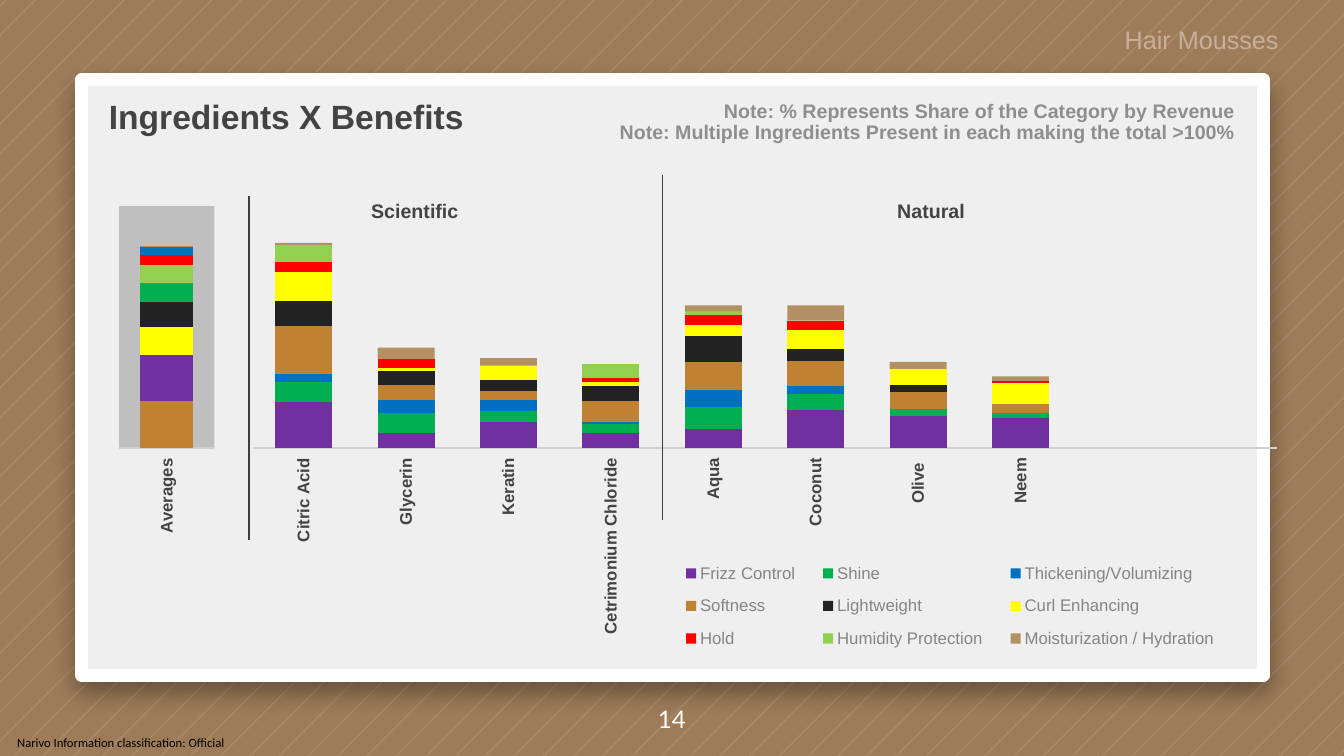
from lxml.etree import SubElement
from pptx import Presentation
from pptx.chart.data import CategoryChartData as ChartData
from pptx.dml.color import RGBColor
from pptx.enum.chart import XL_CHART_TYPE as CHART, XL_LEGEND_POSITION as LEGEND
from pptx.enum.chart import XL_TICK_LABEL_POSITION as LABELS, XL_TICK_MARK as TICK
from pptx.enum.shapes import MSO_CONNECTOR as CONNECTOR, MSO_SHAPE as SHAPE
from pptx.enum.text import MSO_ANCHOR as ANCHOR, MSO_AUTO_SIZE as AUTOSIZE, PP_ALIGN as ALIGN
from pptx.oxml.ns import qn
from pptx.util import Pt

PX = 9144
WIDTH, HEIGHT = 1333, 750
INK, NOTE, GOLD = "434343", "8E8E8E", "BF8232"


def paint(fill, colour):
    fill.solid()
    fill.fore_color.rgb = RGBColor.from_string(colour)


def write(box, words, size, colour, align, face="Arial", bold=True, left=10):
    frame = box.text_frame
    frame.text = words
    for key, value in {"word_wrap": True, "auto_size": AUTOSIZE.NONE,
                       "vertical_anchor": ANCHOR.MIDDLE, "margin_left": left * PX,
                       "margin_right": 10 * PX, "margin_top": 0, "margin_bottom": 0}.items():
        setattr(frame, key, value)
    line = frame.paragraphs[0]
    line.alignment = align
    for key, value in {"size": Pt(size), "name": face, "bold": bold}.items():
        setattr(line.runs[0].font, key, value)
    paint(line.runs[0].font.fill, colour)


deck = Presentation()
deck.slide_width, deck.slide_height = WIDTH * PX, HEIGHT * PX
slide = deck.slides.add_slide(deck.slide_layouts[5])
shapes = slide.shapes
paint(slide.background.fill, "9E7C59")

pen = shapes.build_freeform(5, 0, scale=PX)
for number in range(72):
    near = round(5 + number * 175 / 6)
    far = near + 2
    corners = [(min(near, WIDTH), max(0, near - WIDTH)), (max(0, near - HEIGHT), min(near, HEIGHT)),
               (max(0, far - HEIGHT), min(far, HEIGHT)), (min(far, WIDTH), max(0, far - WIDTH))]
    pen.move_to(*corners[0])
    pen.add_line_segments(corners[1:], close=True)
stripes = pen.convert_to_shape()
stripes.shadow.inherit = False
stripes.line.fill.background()
paint(stripes.fill, "FFFFFF")

panel = shapes.add_shape(SHAPE.RECTANGLE, 81 * PX, 79 * PX, 1184 * PX, 591 * PX)
panel.width = 1172 * PX
panel.shadow.inherit = False
paint(panel.fill, "EFEFEF")
paint(panel.line.fill, "FFFFFF")
panel.line.width = Pt(9)
panel_shadow = SubElement(panel.element.xpath("./p:spPr/a:effectLst")[0], qn("a:outerShdw"),
                          blurRad=str(Pt(16.9)), dist=str(Pt(7.5)), dir="5400000", rotWithShape="0")
shade = SubElement(panel_shadow, qn("a:srgbClr"), val="000000")

heading = shapes.title
heading.left, heading.top, heading.width, heading.height = 98 * PX, 90 * PX, 568 * PX, 50 * PX
write(heading, "Ingredients X Benefits", 24, INK, ALIGN.LEFT)
panel.element.addnext(heading.element)

benefits = [
    ("Frizz Control", "7030A0", [98, 31, 56, 32, 40, 80, 68, 64]),
    ("Shine", "00B050", [42, 43, 23, 18, 46, 35, 15, 9]),
    ("Thickening/Volumizing", "0070C0", [17, 27, 23, 4, 36, 15, 0, 0]),
    ("Softness", GOLD, [100, 31, 19, 45, 60, 54, 36, 21]),
    ("Lightweight", "222222", [53, 30, 23, 32, 55, 25, 15, 0]),
    ("Curl Enhancing", "FFFF00", [61, 7, 30, 9, 23, 41, 33, 43]),
    ("Hold", "FF0000", [21, 19, 0, 8, 20, 19, 0, 5]),
    ("Humidity Protection", "92D050", [37, 0, 0, 29, 9, 0, 0, 0]),
    ("Moisturization / Hydration", "996828", [4, 24, 16, 0, 12, 32, 15, 9]),
]
ingredients = ["Citric Acid", "Glycerin", "Keratin", "Cetrimonium Chloride",
               "Aqua", "Coconut", "Olive ", "Neem", "", ""]
averages = [
    ("Series 1", GOLD, [100]), ("Series 2", "7030A0", [98]), ("Series 3", "FFFF00", [60]),
    ("Series 4", "222222", [53]), ("Series 5", "00B050", [42]), ("Series 6", "92D050", [37]),
    ("Series 7", "FF0000", [21]), ("Series 8", "0070C0", [17]), ("Series 9", "B29063", [3]),
]
charts = []
for names, stack, place, peak, plot_box in [
    (ingredients, benefits, (130, 213, 1137, 465), 454, (0.106, 0.039, 0.894, 0.459)),
    (["Averages"], averages, (103, 199, 125, 342), 516, (0.122, 0.016, 0.756, 0.703)),
]:
    data = ChartData(number_format="General")
    data.categories = names
    for name, colour, values in stack:
        data.add_series(name, values + [None] * (len(names) - len(values)))
    chart = shapes.add_chart(CHART.COLUMN_STACKED, *[n * PX for n in place], data).chart
    charts.append(chart)
    chart.has_title = chart.has_legend = False
    chart.font.name, chart.font.size = "Arial", Pt(10)
    paint(chart.font.fill, INK)
    plot = chart.plots[0]
    plot.gap_width, plot.overlap, plot.vary_by_categories = 80, 100, False
    for series, (name, colour, values) in zip(plot.series, stack):
        paint(series.format.fill, colour)
        series.invert_if_negative = False
    for key, value in {"minimum_scale": 0, "maximum_scale": peak,
                       "has_major_gridlines": False, "visible": False}.items():
        setattr(chart.value_axis, key, value)
    axis = chart.category_axis
    axis.major_tick_mark = axis.minor_tick_mark = TICK.NONE
    axis.tick_label_position = LABELS.LOW
    for key, value in {"size": Pt(12), "bold": True, "name": "Arial"}.items():
        setattr(axis.tick_labels.font, key, value)
    paint(axis.tick_labels.font.fill, INK)
    paint(axis.format.line.fill, "D0D0D0")
    axis.format.line.width = Pt(1.25)
    turned = chart.element.xpath(".//c:catAx/c:txPr/a:bodyPr")[0]
    turned.set("rot", "-5400000")
    turned.set("vert", "horz")

legend_box = (0.465, 0.715, 0.5, 0.24)
mix, average = charts
mix.has_legend = True
mix.legend.position = LEGEND.BOTTOM
mix.legend.include_in_layout = False
mix.legend.font.size, mix.legend.font.name = Pt(12), "Arial"
paint(mix.legend.font.fill, "858585")

for chart, part, box in [(mix, "plotArea", (0.106, 0.039, 0.894, 0.459)),
                         (mix, "legend", legend_box),
                         (average, "plotArea", (0.122, 0.016, 0.756, 0.703))]:
    host = chart.element.xpath(f".//c:{part}")[0]
    for old in host.xpath("./c:layout"):
        host.remove(old)
    layout = SubElement(host, qn("c:layout"))
    host.insert(1 if part == "legend" else 0, layout)
    manual = SubElement(layout, qn("c:manualLayout"))
    if part == "plotArea":
        SubElement(manual, qn("c:layoutTarget"), val="inner")
    for key in ("xMode", "yMode"):
        SubElement(manual, qn(f"c:{key}"), val="edge")
    for key, value in zip("xywh", box):
        SubElement(manual, qn(f"c:{key}"), val=str(value))

backdrop = SubElement(average.element.xpath(".//c:plotArea")[0], qn("c:spPr"))
SubElement(SubElement(backdrop, qn("a:solidFill")), qn("a:srgbClr"), val="BFBFBF")

for colour, opacity in [(stripes.element.xpath("./p:spPr/a:solidFill/a:srgbClr")[0], 10),
                        (shade, 35),
                        (mix.element.xpath(".//c:ser[last()]/c:spPr//a:srgbClr")[0], 70)]:
    SubElement(colour, qn("a:alpha"), val=str(opacity * 1000))

for x, top, bottom in [(247, 194, 536), (657, 174, 516)]:
    divider = shapes.add_connector(CONNECTOR.STRAIGHT, x * PX, top * PX, x * PX, bottom * PX)
    paint(divider.line.fill, "463C35")
    divider.line.width = Pt(0.75)
    SubElement(divider.element.xpath("./p:spPr")[0], qn("a:effectLst"))

for words, place, style in [
    ("Note: % Represents Share of the Category by Revenue", (683, 93, 552, 34), (14, NOTE, ALIGN.RIGHT)),
    ("Note: Multiple Ingredients Present in each making the total >100%", (586, 114, 649, 34),
     (14, NOTE, ALIGN.RIGHT)),
    ("Scientific", (343, 192, 137, 34), (14, INK, ALIGN.CENTER)),
    ("Natural", (855, 192, 137, 34), (14, INK, ALIGN.CENTER)),
    ("Hair Mousses ", (1104, 19, 181, 40), (18, "C6B09A", ALIGN.RIGHT, "Arial", False)),
    ("14", (0, 677, 1333, 73), (17.3, "FFFFFF", ALIGN.CENTER, "Lato", False)),
    ("Narivo Information classification: Official", (0, 723, 242, 27),
     (9, "000000", ALIGN.LEFT, "Calibri", False, 17)),
]:
    write(shapes.add_textbox(*[n * PX for n in place]), words, *style)

deck.save("out.pptx")
